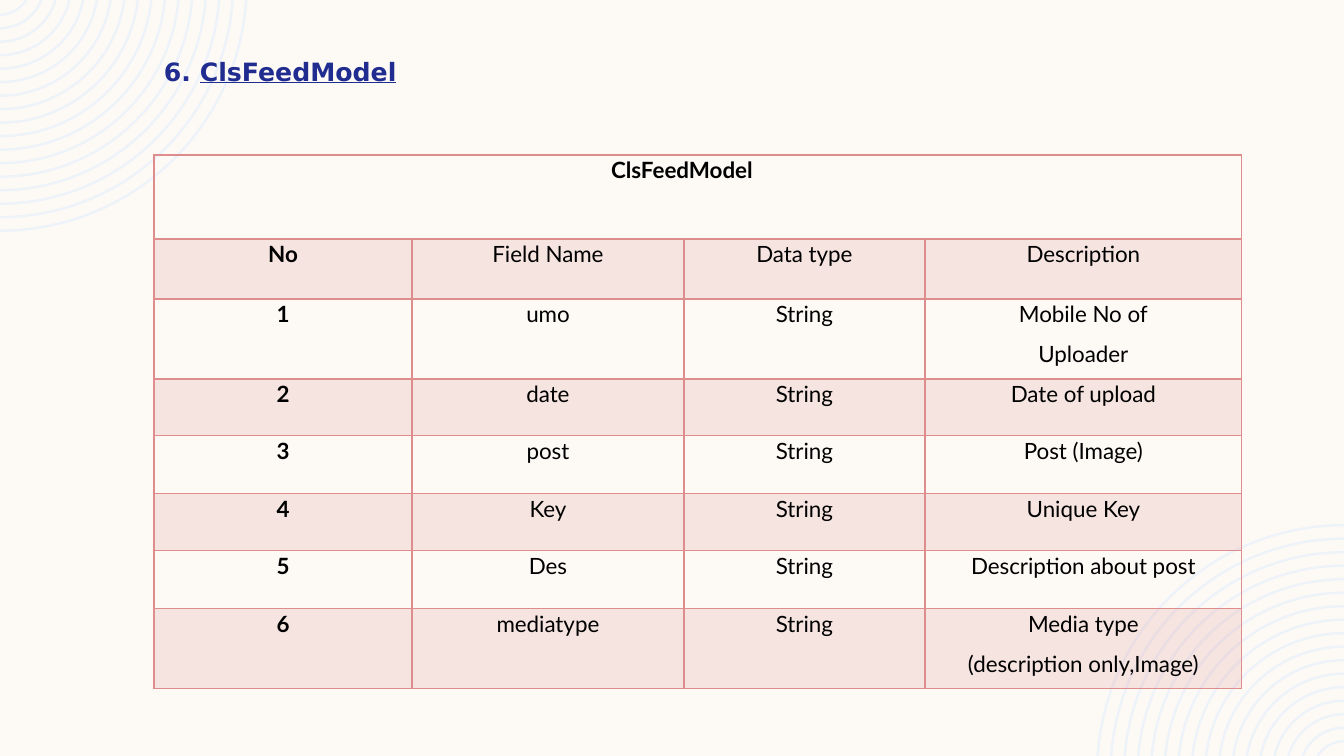
from math import asin, cos, degrees

from lxml.etree import SubElement
from pptx import Presentation
from pptx.dml.color import RGBColor
from pptx.enum.text import PP_ALIGN as Align
from pptx.oxml.ns import qn
from pptx.util import Emu, Pt

PX = 914400 / 100.8
PAGE_WIDTH, PAGE_HEIGHT = 1344, 756
COLORS = {
    "page": "FDFAF6",
    "rings": "EEF3FA",
    "title": "202C8F",
    "rose": "DE8C8C",
    "text": "000000",
}
TITLE_FONT, TABLE_FONT = "DejaVu Sans", "Lato"

RING_RADII = [248 - 13.5 * index for index in range(17)]
RING_THICKNESS = 2.5
RING_RISE = 16  # the rings are centred this far beyond the page edge

COLUMN_WIDTHS = [258, 272, 241, 317]
ROW_HEIGHTS = [84, 60, 80, 57, 58, 57, 58, 80]
FIELDS = [
    ["No", "Field Name", "Data type", "Description"],
    ["1", "umo", "String", "Mobile No of\nUploader"],
    ["2", "date", "String", "Date of upload"],
    ["3", "post", "String", "Post (Image)"],
    ["4", "Key", "String", "Unique Key"],
    ["5", "Des", "String", "Description about post"],
    ["6", "mediatype", "String", "Media type\n(description only,Image)"],
]


def px(value):
    return Emu(round(value * PX))


def color(name):
    return RGBColor.from_string(COLORS[name])


def style_paragraph(para, font_name, size, color_name, bold):
    para.line_spacing = 1.07
    para.space_after = Pt(8)
    font = para.font
    font.name, font.size, font.bold = font_name, Pt(size), bold
    font.color.rgb = color(color_name)


def bend_to_arc(segment, radius, start, sweep):
    """Turn a straight path segment into a circular arc, angles in degrees."""
    for point in list(segment):
        segment.remove(point)
    segment.tag = qn("a:arcTo")
    segment.set("wR", str(px(radius)))
    segment.set("hR", str(px(radius)))
    segment.set("stAng", str(round(start * 60000)))
    segment.set("swAng", str(round(sweep * 60000)))


def add_rings(page, opposite_corner=False):
    turn = 180 if opposite_corner else 0
    builder = None
    arcs = []
    for outer in RING_RADII:
        inner = outer - RING_THICKNESS
        outer_start, inner_start = (asin(RING_RISE / r) for r in (outer, inner))
        points = [(outer * cos(outer_start), 0), (0, outer - RING_RISE),
                  (0, inner - RING_RISE), (inner * cos(inner_start), 0)]
        if opposite_corner:
            points = [(PAGE_WIDTH - x, PAGE_HEIGHT - y) for x, y in points]
        points = [(px(x), px(y)) for x, y in points]
        if builder is None:
            builder = page.shapes.build_freeform(*points[0])
        else:
            builder.move_to(*points[0])
        builder.add_line_segments(points[1:], close=True)
        arcs += [(outer, turn + degrees(outer_start), 90 - degrees(outer_start)),
                 None,
                 (inner, turn + 90, degrees(inner_start) - 90)]

    rings = builder.convert_to_shape()
    segments = list(rings._element.iter(qn("a:lnTo")))
    for segment, arc in zip(segments, arcs):
        if arc:
            bend_to_arc(segment, *arc)
    rings.shadow.inherit = False
    rings.fill.solid()
    rings.fill.fore_color.rgb = color("rings")
    rings.line.fill.background()


def add_title(page, number, name):
    box = page.shapes.add_textbox(px(154), px(49), px(672), px(41))
    box.text_frame.word_wrap = True
    para = box.text_frame.paragraphs[0]
    style_paragraph(para, TITLE_FONT, 18, "title", True)
    para.add_run().text = number
    span = para.add_run()
    span.text = name
    span.font.underline = True


def add_border(cell, side, points):
    line = SubElement(cell._tc.get_or_add_tcPr(), qn(f"a:ln{side}"), w=str(Pt(points)))
    fill = SubElement(line, qn("a:solidFill"))
    SubElement(fill, qn("a:srgbClr"), val=COLORS["rose"])


def fill_cell(cell, shaded):
    if not shaded:
        cell.fill.background()
        return
    cell.fill.solid()
    cell.fill.fore_color.rgb = color("rose")
    rose = cell._tc.tcPr.find(qn("a:solidFill"))[0]
    SubElement(rose, qn("a:alpha"), val="20000")


def write_cell(cell, text, bold, right_margin=7):
    cell.margin_left, cell.margin_right = px(7), px(right_margin)
    cell.margin_top = cell.margin_bottom = 0
    cell.text = text
    for para in cell.text_frame.paragraphs:
        para.alignment = Align.CENTER
        style_paragraph(para, TABLE_FONT, 16, "text", bold)


def add_field_table(page, heading):
    frame = page.shapes.add_table(
        len(ROW_HEIGHTS), len(COLUMN_WIDTHS), px(154), px(155),
        px(sum(COLUMN_WIDTHS)), px(sum(ROW_HEIGHTS)))
    table = frame.table
    table.first_row = table.horz_banding = False
    for column, width in zip(table.columns, COLUMN_WIDTHS):
        column.width = px(width)
    for row, height in zip(table.rows, ROW_HEIGHTS):
        row.height = px(height)

    # Heading across all columns, set slightly left of centre
    last = len(COLUMN_WIDTHS) - 1
    table.cell(0, 0).merge(table.cell(0, last))
    write_cell(table.cell(0, 0), heading, True, right_margin=39)

    # Field rows
    for r, texts in enumerate(FIELDS, start=1):
        for c, text in enumerate(texts):
            write_cell(table.cell(r, c), text, c == 0)

    # Borders, then fills
    for r in range(len(ROW_HEIGHTS)):
        for c in range(last + 1):
            cell = table.cell(r, c)
            if r > 0 or c == 0:
                add_border(cell, "L", 1)
            if r > 0 or c in (0, last):
                add_border(cell, "R", 1)
            add_border(cell, "T", 2 if r == 1 else 1)
            add_border(cell, "B", 2 if r == 0 else 1)
            fill_cell(cell, r % 2 == 1)


def main():
    deck = Presentation()
    deck.slide_width, deck.slide_height = px(PAGE_WIDTH), px(PAGE_HEIGHT)
    page = deck.slides.add_slide(deck.slide_layouts[6])
    page.background.fill.solid()
    page.background.fill.fore_color.rgb = color("page")

    # Corner decoration
    add_rings(page)
    add_rings(page, opposite_corner=True)

    # Content
    add_title(page, "6. ", "ClsFeedModel")
    add_field_table(page, "ClsFeedModel")
    deck.save("out.pptx")


if __name__ == "__main__":
    main()
